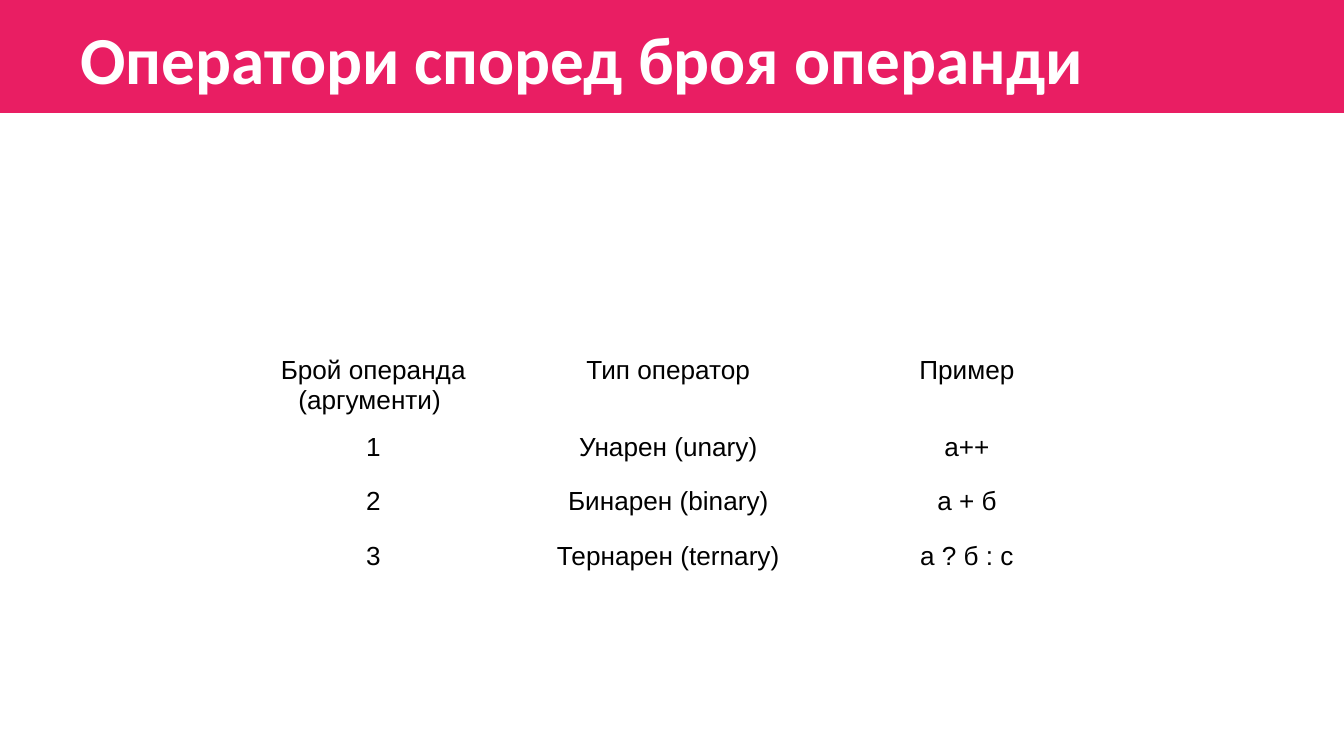
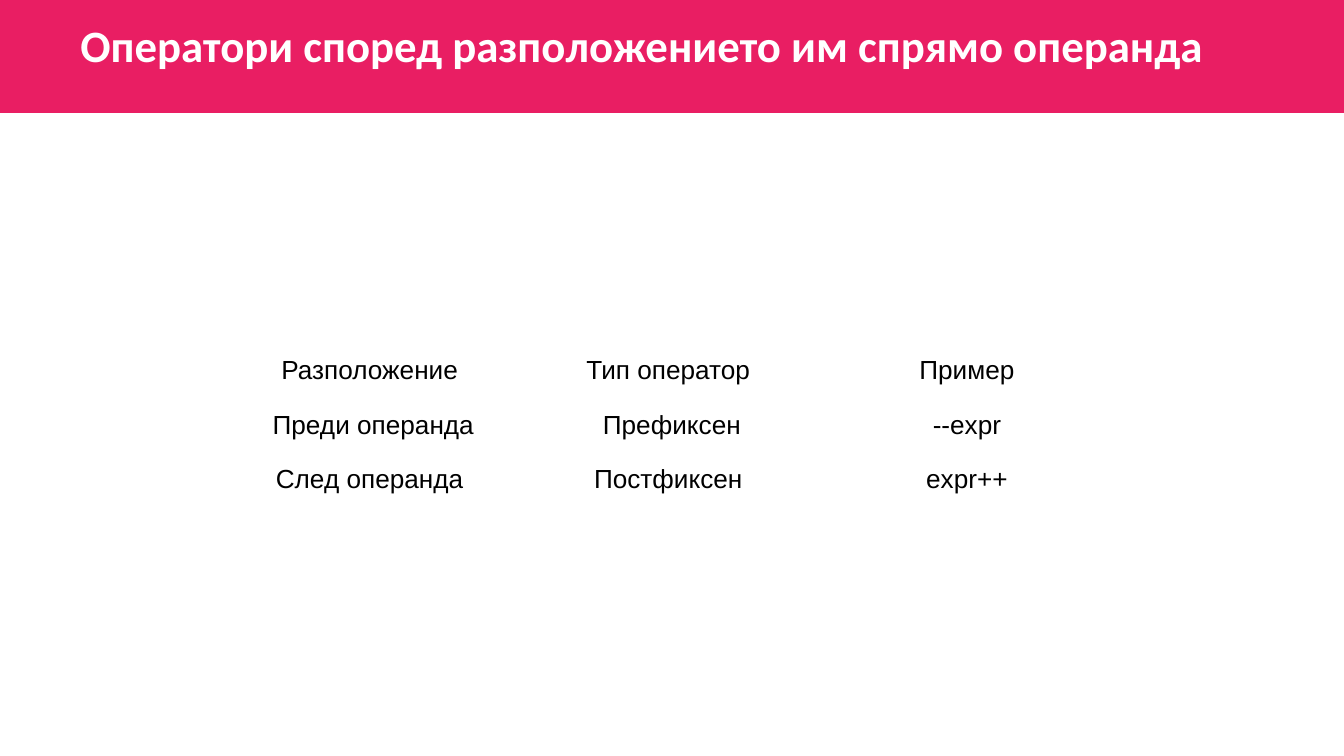
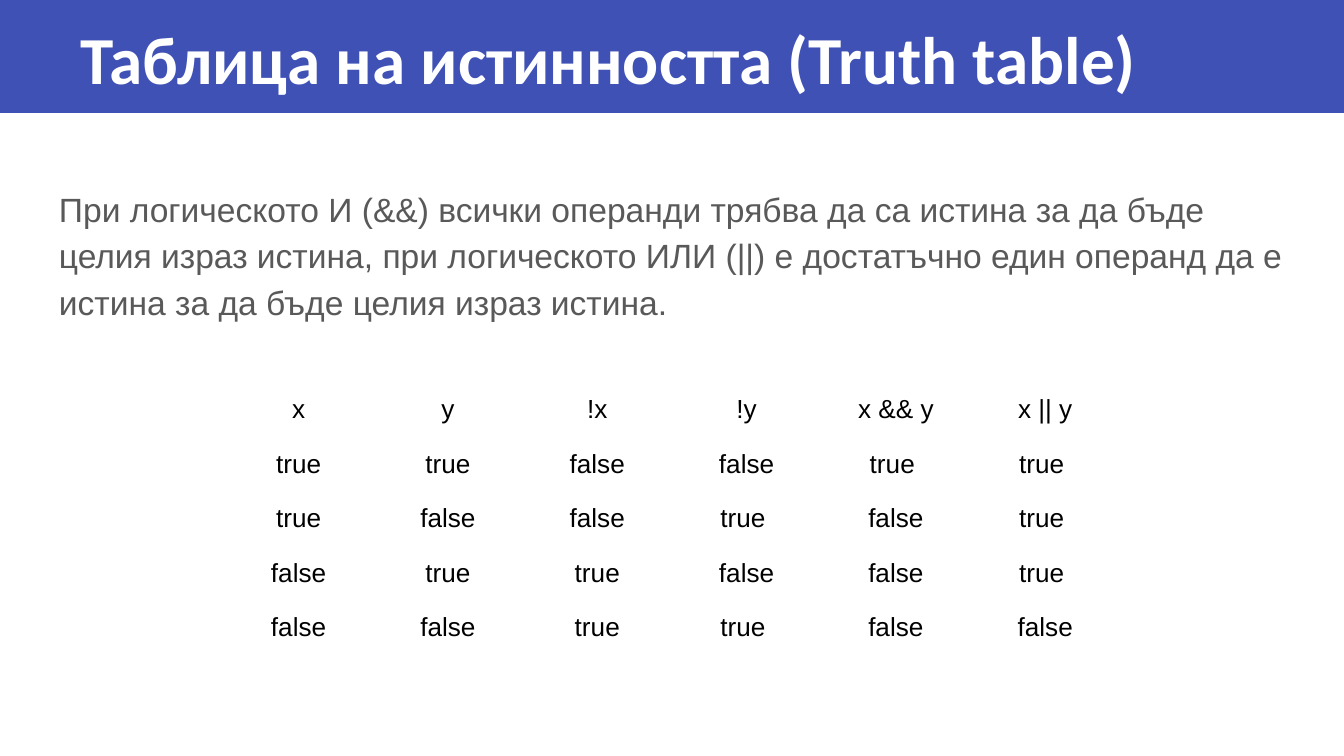
from pptx import Presentation
from pptx.dml.color import RGBColor
from pptx.enum.shapes import MSO_SHAPE as Shape
from pptx.enum.text import PP_ALIGN as Align
from pptx.util import Inches, Pt

PINK, BLUE = "E91E63", "3F51B5"
WHITE, BLACK, GREY = "FFFFFF", "000000", "595959"
WIDE = 10
HIGH = WIDE * 9 / 16
BAND = (0, 0, WIDE, 0.84)
ROW = 29.2 / 72
PLAIN = "{2D5ABB26-0587-4C30-8999-92F81FD0307C}"


def paint(code):
    return RGBColor.from_string(code)


def write(frame, text, size=14, font="Arial", color=BLACK, bold=False,
          align=Align.LEFT, indent=0, line=None):
    frame.word_wrap = True
    par = frame.paragraphs[0]
    par.alignment = align
    if line:
        par.line_spacing = line
    if indent:
        props = par._p.get_or_add_pPr()
        props.set("marL", str(Inches(indent)))
        props.set("indent", "0")
    run = par.add_run()
    run.text = text
    run.font.size = Pt(size)
    run.font.name = font
    run.font.bold = bold
    run.font.color.rgb = paint(color)


def add_text(slide, box, text, **style):
    frame = slide.shapes.add_textbox(*map(Inches, box)).text_frame
    frame.margin_left = frame.margin_right = Inches(0.1)
    frame.margin_top = frame.margin_bottom = Inches(0.1)
    write(frame, text, **style)


def add_head(slide, box, title, color=PINK, size=36, trim=0.11):
    left, top, width, height = box
    band = slide.shapes.add_shape(Shape.RECTANGLE, *map(Inches, box))
    band.shadow.inherit = False
    band.fill.solid()
    band.fill.fore_color.rgb = paint(color)
    band.line.fill.background()
    add_text(slide, (left, top + 0.03, width - trim, height - 0.07), title,
             size=size, font="Calibri", color=WHITE, bold=True, indent=0.5)


def add_grid(slide, box, rows):
    left, top, width, height = box
    count = len(rows[0])
    table = slide.shapes.add_table(
        len(rows), count, *map(Inches, box)).table
    table.first_row = table.horz_banding = False
    table._tbl.tblPr[0].text = PLAIN
    for col in table.columns:
        col.width = Inches(width / count)
    for row, texts in zip(table.rows, rows):
        row.height = Inches(height / len(rows))
        for cell, text in zip(row.cells, texts):
            cell.fill.background()
            cell.margin_left = cell.margin_right = Inches(0.1)
            cell.margin_top = cell.margin_bottom = Inches(0.05)
            write(cell.text_frame, text, align=Align.CENTER)


def add_page(deck, title, rows, top=2.6, body=None, **head):
    slide = deck.slides.add_slide(deck.slide_layouts[6])
    if body:
        add_text(slide, (0.34, 1.26, 9.32, 4.22), body,
                 size=18, color=GREY, line=1.15)
    add_head(slide, BAND, title, **head)
    add_grid(slide, (WIDE / 6, top, WIDE * 2 / 3, ROW * len(rows)), rows)


def main():
    deck = Presentation()
    deck.slide_width, deck.slide_height = Inches(WIDE), Inches(HIGH)
    add_page(deck, "Оператори според броя операнди", [
        ("Брой операнда (аргументи) ", "Тип оператор ", "Пример "),
        ("1", "Унарен (unary) ", "а++ "),
        ("2", "Бинарен (binary) ", "а + б "),
        ("3", "Тернарен (ternary) ", "а ? б : с "),
    ])
    add_page(deck, "Оператори според разположението им спрямо операнда", [
        ("Разположение ", "Тип оператор ", "Пример "),
        ("Преди операнда", "Префиксен", "--expr "),
        ("След операнда ", "Постфиксен ", "expr++ "),
    ], size=24)
    add_page(deck, "Таблица на истинността (Truth table)", [
        ("x", "y", "!x", "!y", "x && y", "x || y"),
        ("true", "true", "false", "false", "true ", "true "),
        ("true", "false", "false", "true ", "false", "true "),
        ("false", "true", "true", "false", "false", "true "),
        ("false", "false", "true", "true ", "false", "false"),
    ], top=2.89, color=BLUE, trim=0,
        body="При логическото И (&&) всички операнди трябва да са истина "
             "за да бъде целия израз истина, при логическото ИЛИ (||) е "
             "достатъчно един операнд да е истина за да бъде целия израз "
             "истина.")
    deck.save("out.pptx")


if __name__ == "__main__":
    main()
